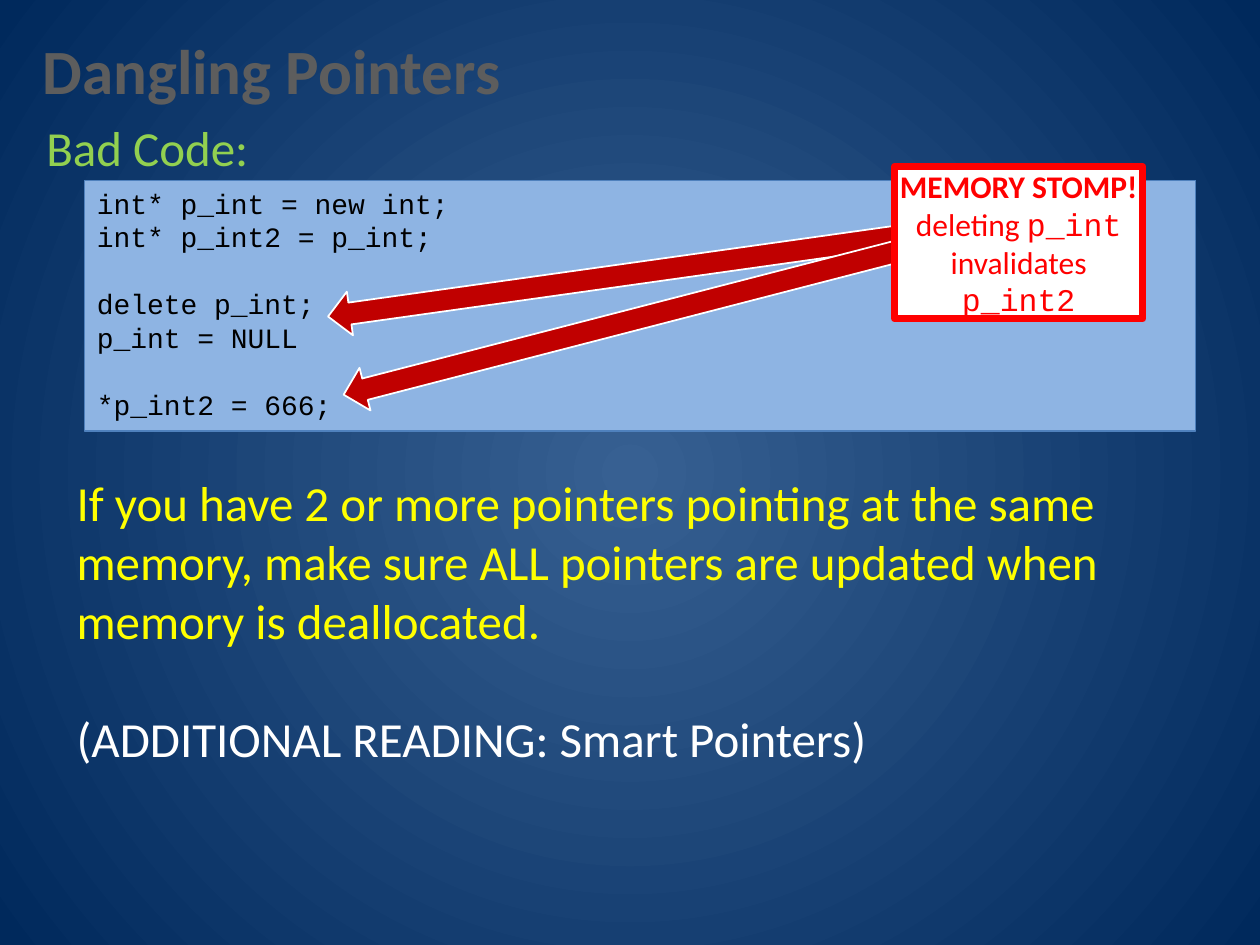
from lxml import etree
from pptx import Presentation
from pptx import util as u
from pptx.dml.color import RGBColor
from pptx.enum import shapes, text
from pptx.oxml.ns import qn

COLORS = {
    "center": "376092", "edge": "00295C", "title": "5D5D5D", "green": "92D050",
    "yellow": "FFFF00", "white": "FFFFFF", "black": "000000", "panel": "8EB4E3",
    "panel_line": "4F81BD", "arrow": "C00000", "alert": "FF0000",
}
SANS, MONO = "Calibri", "Courier New"
COLS, ROWS = 100, 75


def rgb(name):
    return RGBColor.from_string(COLORS[name])


class Deck:
    """Style and current slide; lengths are columns and rows of a 100 x 75 grid."""

    def __init__(self):
        self.prs = Presentation()
        self.prs.slide_width, self.prs.slide_height = u.Inches(10), u.Inches(7.5)
        self.slide = self.prs.slides.add_slide(self.prs.slide_layouts[6])

    def box(self, left, top, width, height):
        col, row = self.prs.slide_width / COLS, self.prs.slide_height / ROWS
        return [round(n * cell) for n, cell in
                zip((left, top, width, height), (col, row, col, row))]

    def radial_background(self, center, edge):
        fill = self.slide.background.fill
        fill.gradient()
        for stop, color in zip(fill.gradient_stops, (center, edge)):
            stop.color.rgb = rgb(color)
        linear = next(self.slide._element.iter(qn("a:lin")))
        circle = etree.Element(qn("a:path"), path="circle")
        etree.SubElement(circle, qn("a:fillToRect"),
                         {side: "50000" for side in "ltrb"})
        linear.getparent().replace(linear, circle)

    def shape(self, kind, area, fill, line, weight, rotation=0):
        item = self.slide.shapes.add_shape(kind, *self.box(*area))
        item.shadow.inherit = False
        item.fill.solid()
        item.fill.fore_color.rgb = rgb(fill)
        item.line.color.rgb = rgb(line)
        item.line.width = u.Pt(weight)
        item.rotation = rotation
        return item

    def text_box(self, area, wrap=True):
        frame = self.slide.shapes.add_textbox(*self.box(*area)).text_frame
        frame.word_wrap = wrap
        return frame

    def paragraph(self, frame, runs, size, color, face=SANS, bold=False,
                  align=text.PP_ALIGN.LEFT, gap=0):
        """Add a paragraph; runs is a string or a list of (words, face) pairs."""
        first = not frame.text
        para = frame.paragraphs[0] if first else frame.add_paragraph()
        para.alignment = align
        if gap:
            para.space_before = u.Pt(gap)
        para.font.size, para.font.bold = u.Pt(size), bold
        para.font.color.rgb = rgb(color)
        if isinstance(runs, str):
            para.font.name = face
            para.add_run().text = runs
        else:
            for words, run_face in runs:
                run = para.add_run()
                run.text, run.font.name = words, run_face


def main():
    deck = Deck()
    deck.radial_background("center", "edge")
    rectangle = shapes.MSO_SHAPE.RECTANGLE

    # Code panel: each group of statements stands one line apart
    panel = deck.shape(rectangle, (6.7, 14.3, 88.2, 19.9), "panel", "panel_line", 0.75)
    code = panel.text_frame
    code.vertical_anchor = text.MSO_ANCHOR.TOP
    statement_groups = [
        ["int* p_int = new int;", "int* p_int2 = p_int;"],
        ["delete p_int;", "p_int = NULL"],
        ["*p_int2 = 666;"],
    ]
    for group_no, group in enumerate(statement_groups):
        for line_no, statement in enumerate(group):
            gap = 19 if group_no and not line_no else 0
            deck.paragraph(code, statement, 16, "black", MONO, gap=gap)

    # Title and heading
    title = deck.text_box((2.4, 2, 38.8, 7.1), wrap=False)
    deck.paragraph(title, "Dangling Pointers", 36, "title", bold=True)
    heading = deck.text_box((2.7, 8.8, 18.3, 5.7))
    deck.paragraph(heading, "Bad Code:", 28, "green")

    # Advice
    advice = deck.text_box((5.1, 37, 89.8, 24.6))
    deck.paragraph(advice, "If you have 2 or more pointers pointing at the same memory, "
                   "make sure ALL pointers are updated when memory is deallocated.",
                   28, "yellow")
    deck.paragraph(advice, "(ADDITIONAL READING: Smart Pointers)", 28, "white", gap=34)

    # Arrows from the warning to the faulty statements
    for left, top, angle in ((25.8, 20, 172), (26.5, 23.5, 165.5)):
        deck.shape(shapes.MSO_SHAPE.RIGHT_ARROW, (left, top, 48.5, 3.5),
                   "arrow", "white", 1, angle)

    # Warning
    warning = deck.shape(rectangle, (71, 13.2, 19.7, 12.1), "white", "alert", 4).text_frame
    warning.margin_left = warning.margin_right = 0
    warning.margin_top = warning.margin_bottom = 0
    warning.vertical_anchor = text.MSO_ANCHOR.MIDDLE
    center = text.PP_ALIGN.CENTER
    deck.paragraph(warning, "MEMORY STOMP!", 18, "alert", bold=True, align=center)
    deck.paragraph(warning, [("deleting ", SANS), ("p_int", MONO),
                             (" invalidates ", SANS), ("p_int2", MONO)],
                   18, "alert", align=center)

    deck.prs.save("out.pptx")


if __name__ == "__main__":
    main()
